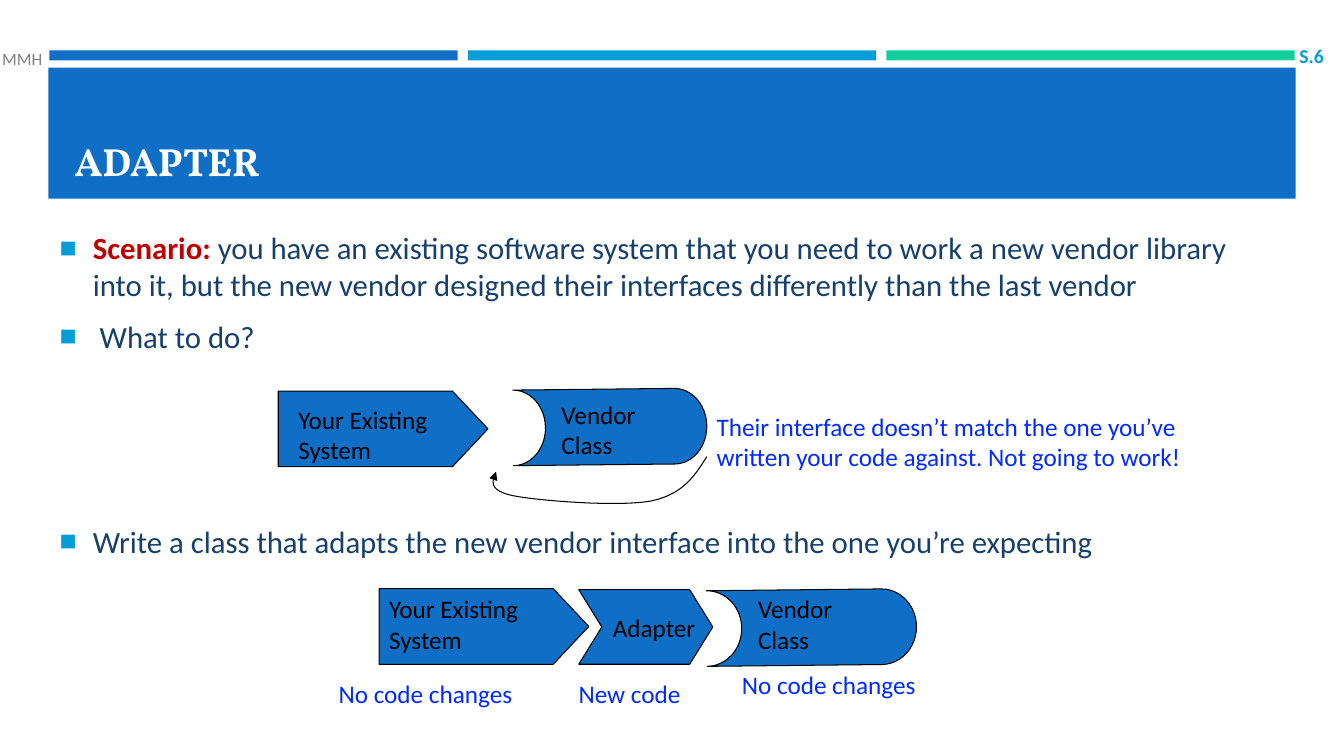
from dataclasses import dataclass

from lxml.etree import SubElement
from pptx import Presentation
from pptx.dml.color import RGBColor
from pptx.enum.shapes import MSO_SHAPE as Preset
from pptx.enum.text import MSO_ANCHOR as Anchor, MSO_AUTO_SIZE as AutoSize, PP_ALIGN as Align
from pptx.oxml.ns import qn
from pptx.util import Inches, Pt

COLORS = {
    "blue": "0F6FC6", "cyan": "009DD9", "green": "10CF9B", "navy": "17406D",
    "red": "C00000", "note": "0229FF", "gray": "808080", "black": "000000", "white": "FFFFFF",
}
Box = tuple[float, float, float, float]
Point = tuple[float, float]


@dataclass
class Block:
    preset: Preset
    box: Box
    color: str = "blue"
    outlined: bool = True
    adjustment: float | None = None
    rotation: float = 0


@dataclass
class Label:
    lines: list[str]
    box: Box
    color: str = "black"


@dataclass
class Bullet:
    runs: list[tuple[str, str, bool]]
    space_before: float


BANNER = [
    Block(Preset.RECTANGLE, (0.49 + 4.15 * i, 0.5, 4.05, 0.1), color, False)
    for i, color in enumerate(("blue", "cyan", "green"))
] + [Block(Preset.RECTANGLE, (0.48, 0.67, 12.37, 1.3), "blue", False)]

DIAGRAM = [
    Block(Preset.PENTAGON, (2.76, 3.88, 2.08, 0.75), adjustment=0.47),
    Block(Preset.FLOWCHART_STORED_DATA, (5.09, 3.86, 1.92, 0.75), rotation=179.4),
    Block(Preset.PENTAGON, (3.76, 5.84, 2.08, 0.75), adjustment=0.47),
    Block(Preset.FLOWCHART_STORED_DATA, (7.01, 5.85, 2.08, 0.75), rotation=179.4),
    Block(Preset.CHEVRON, (5.74, 5.85, 1.33, 0.74), adjustment=0.31),
]

EXISTING_SYSTEM = ["Your Existing", "System"]
VENDOR_CLASS = ["Vendor", "Class"]
UNCHANGED = ["No code changes"]
MISMATCH = ["Their interface doesn’t match the one you’ve written your code against. "
            "Not going to work!"]
LABELS = [
    Label(EXISTING_SYSTEM, (2.86, 3.96, 1.79, 0.71)),
    Label(VENDOR_CLASS, (5.47, 3.91, 1.42, 0.71)),
    Label(MISMATCH, (7.01, 4.03, 5.25, 0.71), "note"),
    Label(EXISTING_SYSTEM, (3.76, 5.84, 1.99, 0.71)),
    Label(VENDOR_CLASS, (7.42, 5.84, 1.01, 0.71)),
    Label(["Adapter"], (5.98, 6.03, 1.1, 0.4)),
    Label(UNCHANGED, (3.26, 6.68, 2, 0.4), "note"),
    Label(["New code"], (5.64, 6.68, 1.34, 0.4), "note"),
    Label(UNCHANGED, (7.26, 6.59, 2, 0.4), "note"),
]

BULLETS = [
    Bullet([("Scenario: ", "red", True),
            ("you have an existing software system that you need to work a new vendor library "
             "into it, but the new vendor designed their interfaces differently than the last "
             "vendor", "navy", False)], 0),
    Bullet([(" What to do?", "navy", False)], 4.4),
    Bullet([("Write a class that adapts the new vendor interface into the one you’re expecting",
             "navy", False)], 114.3),
]

RETURN_START = (7.01, 4.53)
RETURN_CURVES = [
    ((6.89, 4.72), (6.78, 4.9), (6.46, 4.97)),
    ((6.14, 5.03), (5.36, 4.97), (5.1, 4.92)),
    ((4.84, 4.87), (4.88, 4.77), (4.92, 4.68)),
]


def rgb(color: str) -> RGBColor:
    return RGBColor.from_string(COLORS[color])


def place(shape, box: Box) -> None:
    shape.left, shape.top, shape.width, shape.height = map(Inches, box)


def add_run(paragraph, text: str, *, size: float = 18, color: str = "black",
            bold: bool = False, font: str = "Calibri") -> None:
    run = paragraph.add_run()
    run.text = text
    run.font.size, run.font.name, run.font.bold = Pt(size), font, bold
    run.font.color.rgb = rgb(color)


def add_text(slide, lines: list[str], box: Box, *, anchor: Anchor = Anchor.TOP,
             align: Align = Align.LEFT, inset: bool = True, **run_format) -> None:
    frame = slide.shapes.add_textbox(*map(Inches, box)).text_frame
    frame.word_wrap = True
    frame.vertical_anchor = anchor
    if not inset:
        frame.margin_left = frame.margin_right = frame.margin_top = frame.margin_bottom = 0
    for i, line in enumerate(lines):
        paragraph = frame.add_paragraph() if i else frame.paragraphs[0]
        paragraph.alignment = align
        add_run(paragraph, line, **run_format)


def add_block(slide, block: Block) -> None:
    shape = slide.shapes.add_shape(block.preset, *map(Inches, block.box))
    shape.shadow.inherit = False
    shape.fill.solid()
    shape.fill.fore_color.rgb = rgb(block.color)
    shape.rotation = block.rotation
    if block.adjustment is not None:
        shape.adjustments[0] = block.adjustment
    if block.outlined:
        shape.line.color.rgb = rgb("black")
        shape.line.width = Pt(0.75)
    else:
        shape.line.fill.background()


def curve_points(start: Point, curves: list[tuple[Point, Point, Point]],
                 steps: int = 16) -> list[Point]:
    """Sample a chain of cubic Bézier curves."""
    points = []
    for first, second, end in curves:
        for step in range(1, steps + 1):
            t = step / steps
            weights = ((1 - t) ** 3, 3 * t * (1 - t) ** 2, 3 * t * t * (1 - t), t ** 3)
            controls = (start, first, second, end)
            points.append(tuple(sum(w * c[axis] for w, c in zip(weights, controls))
                                for axis in (0, 1)))
        start = end
    return points


def add_return_arrow(slide) -> None:
    builder = slide.shapes.build_freeform(*map(Inches, RETURN_START))
    points = curve_points(RETURN_START, RETURN_CURVES)
    builder.add_line_segments([(Inches(x), Inches(y)) for x, y in points], close=False)
    arrow = builder.convert_to_shape()
    arrow.shadow.inherit = False
    arrow.fill.background()
    arrow.line.color.rgb = rgb("black")
    arrow.line.width = Pt(0.75)
    SubElement(arrow.line._get_or_add_ln(), qn("a:tailEnd"), type="triangle")


def add_square_bullet(paragraph) -> None:
    properties = paragraph._p.get_or_add_pPr()
    properties.set("marL", str(Inches(0.33)))
    properties.set("indent", str(-Inches(0.33)))
    bullet_color = SubElement(properties, qn("a:buClr"))
    SubElement(bullet_color, qn("a:srgbClr"), val=COLORS["cyan"])
    SubElement(properties, qn("a:buSzPct"), val="92000")
    SubElement(properties, qn("a:buFont"), typeface="Arial")
    SubElement(properties, qn("a:buChar"), char="■")


def fill_title(title) -> None:
    place(title, (0.64, 0.77, 12.06, 1.11))
    frame = title.text_frame
    frame.auto_size = AutoSize.NONE
    frame.vertical_anchor = Anchor.BOTTOM
    frame.paragraphs[0].alignment = Align.LEFT
    add_run(frame.paragraphs[0], "ADAPTER", size=28, color="white", bold=True, font="Vollkorn")


def fill_body(body) -> None:
    place(body, (0.49, 2.22, 12.06, 3.51))
    frame = body.text_frame
    frame.auto_size = AutoSize.NONE
    frame.vertical_anchor = Anchor.TOP
    for i, bullet in enumerate(BULLETS):
        paragraph = frame.add_paragraph() if i else frame.paragraphs[0]
        add_square_bullet(paragraph)
        paragraph.space_before, paragraph.space_after = Pt(bullet.space_before), Pt(6)
        for text, color, bold in bullet.runs:
            add_run(paragraph, text, size=22, color=color, bold=bold)


def main() -> None:
    deck = Presentation()
    deck.slide_width, deck.slide_height = Inches(13.33), Inches(7.5)
    slide = deck.slides.add_slide(deck.slide_layouts[1])
    title, body = slide.placeholders
    for block in BANNER:
        add_block(slide, block)
    # The title and body stand in front of the banner.
    for placeholder in (title, body):
        slide.shapes._spTree.append(placeholder._element)
    fill_title(title)
    fill_body(body)
    for block in DIAGRAM:
        add_block(slide, block)
    add_return_arrow(slide)
    for label in LABELS:
        add_text(slide, label.lines, label.box, color=label.color)
    add_text(slide, ["S.6"], (12.73, 0.42, 0.4, 0.27), anchor=Anchor.MIDDLE, align=Align.RIGHT,
             inset=False, size=14, color="cyan", bold=True)
    add_text(slide, ["MMH"], (0.02, 0.43, 0.48, 0.3), anchor=Anchor.MIDDLE, inset=False,
             size=12.3, color="gray")
    deck.save("out.pptx")


if __name__ == "__main__":
    main()
